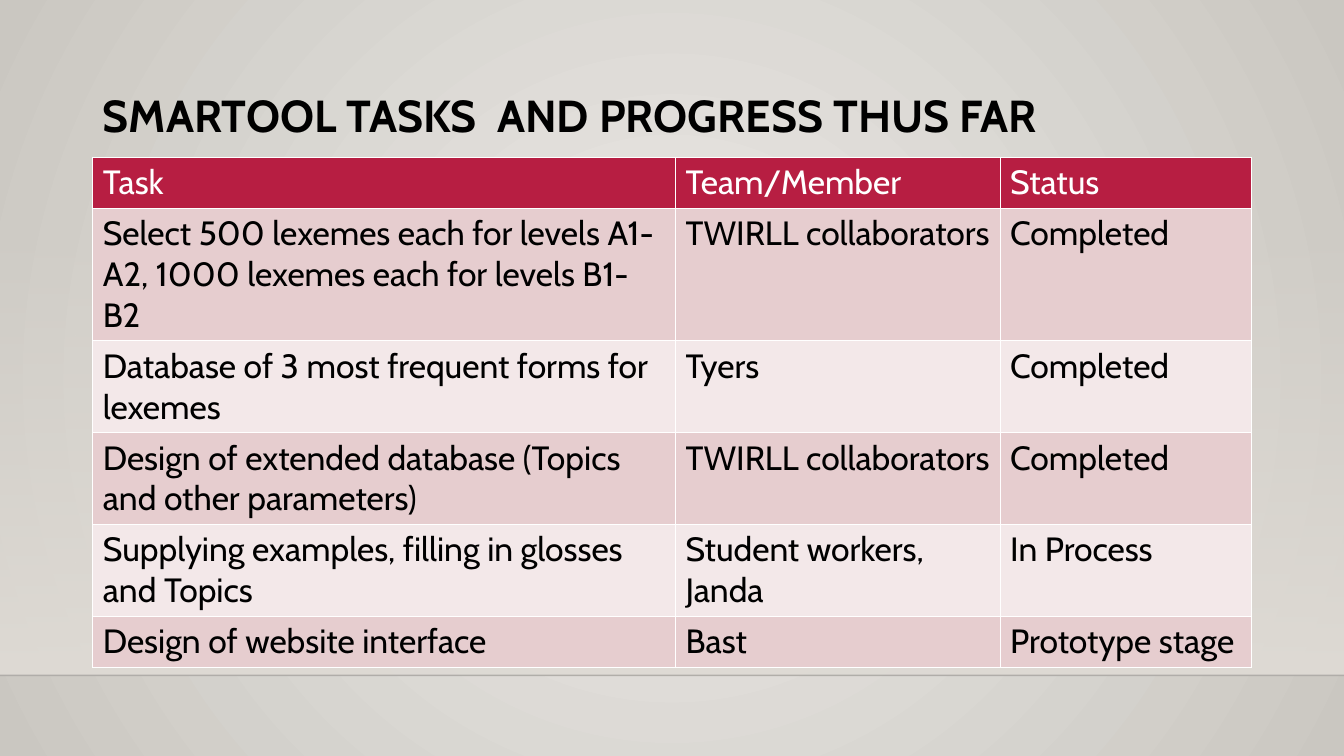
from dataclasses import dataclass

from lxml import etree
from pptx import Presentation
from pptx import util as u
from pptx.dml.color import RGBColor
from pptx.enum import shapes, text
from pptx.oxml.ns import qn


@dataclass(frozen=True)
class Theme:
    font: str = "Cabin"
    ink: str = "000000"
    paper: str = "FFFFFF"
    accent: str = "B71E42"
    stripes: tuple = ("E6CDCF", "F3E8E9")
    glow: tuple = ("ECEAE7", "CAC7C1")
    haze: str = "DFDBD5"
    floor: str = "000001"
    title_size: int = 32
    table_size: int = 24


THEME = Theme()
WIDTH, HEIGHT = 13.33, 7.5
FLOOR = 6.7
LEFT = 0.92
LINE, PADDING = 0.4, 0.1  # one text line and the cell's vertical margins

TITLE = "SMARTOOL TASKS  AND PROGRESS THUS FAR"
COLUMN_WIDTHS = (5.78, 3.22, 2.49)
ROW_LINES = (1, 3, 2, 2, 2, 1)
TASKS = (
    ("Task", "Team/Member", "Status"),
    ("Select 500 lexemes each for levels A1-A2, 1000 lexemes each for levels B1-B2",
     "TWIRLL collaborators", "Completed"),
    ("Database of 3 most frequent forms for lexemes", "Tyers", "Completed"),
    ("Design of extended database (Topics and other parameters)",
     "TWIRLL collaborators", "Completed"),
    ("Supplying examples, filling in glosses and Topics",
     "Student workers, Janda", "In Process"),
    ("Design of website interface", "Bast", "Prototype stage"),
)


def inches(*lengths):
    return [u.Inches(length) for length in lengths]


def add_child(parent, tag, **attributes):
    child = etree.SubElement(parent, qn(tag))
    for key, value in attributes.items():
        child.set(key, str(value))
    return child


def style_font(font, size, color, bold=False):
    values = {"name": THEME.font, "size": u.Pt(size), "bold": bold}
    for key, value in values.items():
        setattr(font, key, value)
    font.color.rgb = RGBColor.from_string(color)


def set_gradient(fill, colors):
    fill.gradient()
    for stop, color in zip(fill.gradient_stops, colors):
        stop.color.rgb = RGBColor.from_string(color)
        stop.position = 0 if stop is fill.gradient_stops[0] else stop.position


def set_opacity(color_element, percent):
    add_child(color_element, "a:alpha", val=percent * 1000)


def add_backdrop(slide, band_box):
    # Round glow behind everything
    fill = slide.background.fill
    set_gradient(fill, THEME.glow)
    properties = slide.background._cSld.find(".//" + qn("a:gradFill"))
    linear = properties.find(qn("a:lin"))
    circle = etree.Element(qn("a:path"), path="circle")
    add_child(circle, "a:fillToRect", l=50000, t=50000, r=50000, b=50000)
    properties.replace(linear, circle)

    # Haze that thickens towards the floor
    band = slide.shapes.add_shape(shapes.MSO_SHAPE.RECTANGLE, *inches(*band_box))
    band.shadow.inherit = False
    band.line.fill.background()
    set_gradient(band.fill, (THEME.haze, THEME.haze))
    band.fill.gradient_angle = 270
    stops = band._element.spPr.findall(".//" + qn("a:srgbClr"))
    set_opacity(stops[0], 0)

    # Floor line
    left, top, width, height = band_box
    floor = slide.shapes.add_connector(
        shapes.MSO_CONNECTOR.STRAIGHT,
        *inches(left, top + height, left + width, top + height))
    floor.line.width = u.Pt(1)
    floor.line.color.rgb = RGBColor.from_string(THEME.floor)
    set_opacity(floor._element.spPr.find(".//" + qn("a:srgbClr")), 20)
    add_child(floor._element.spPr, "a:effectLst")


def add_title(slide, box):
    title = slide.shapes.title
    for key, value in zip(("left", "top", "width", "height"), inches(*box)):
        setattr(title, key, value)
    frame = title.text_frame
    frame.text = TITLE
    frame.word_wrap = True
    frame.vertical_anchor = text.MSO_ANCHOR.TOP
    heading = frame.paragraphs[0]
    heading.alignment = text.PP_ALIGN.LEFT
    heading.line_spacing = 0.9
    style_font(heading.runs[0].font, THEME.title_size, THEME.ink, bold=True)


def style_cell(cell, fill, color):
    properties = cell._tc.get_or_add_tcPr()
    for side in ("a:lnL", "a:lnR", "a:lnT", "a:lnB"):
        border = add_child(properties, side, w=u.Pt(1))
        add_child(add_child(border, "a:solidFill"), "a:srgbClr", val=THEME.paper)
    cell.fill.solid()
    cell.fill.fore_color.rgb = RGBColor.from_string(fill)
    style_font(cell.text_frame.paragraphs[0].runs[0].font, THEME.table_size, color)


def add_task_table(slide, left, top):
    heights = [PADDING + LINE * lines for lines in ROW_LINES]
    table = slide.shapes.add_table(
        len(TASKS), len(COLUMN_WIDTHS),
        *inches(left, top, sum(COLUMN_WIDTHS), sum(heights))).table
    for column, width in zip(table.columns, COLUMN_WIDTHS):
        column.width = u.Inches(width)
    for index, (row, height, entries) in enumerate(zip(table.rows, heights, TASKS)):
        row.height = u.Inches(height)
        is_header = index == 0
        fill = THEME.accent if is_header else THEME.stripes[(index - 1) % 2]
        for cell, entry in zip(row.cells, entries):
            cell.text = entry
            style_cell(cell, fill, THEME.paper if is_header else THEME.ink)


def main():
    deck = Presentation()
    deck.slide_width, deck.slide_height = inches(WIDTH, HEIGHT)
    slide = deck.slides.add_slide(deck.slide_layouts[5])
    add_backdrop(slide, (0, 2.21, WIDTH, FLOOR - 2.21))
    add_title(slide, (LEFT, 0.88, 10.83, 1.15))
    add_task_table(slide, LEFT, 1.56)
    deck.save("out.pptx")


if __name__ == "__main__":
    main()
